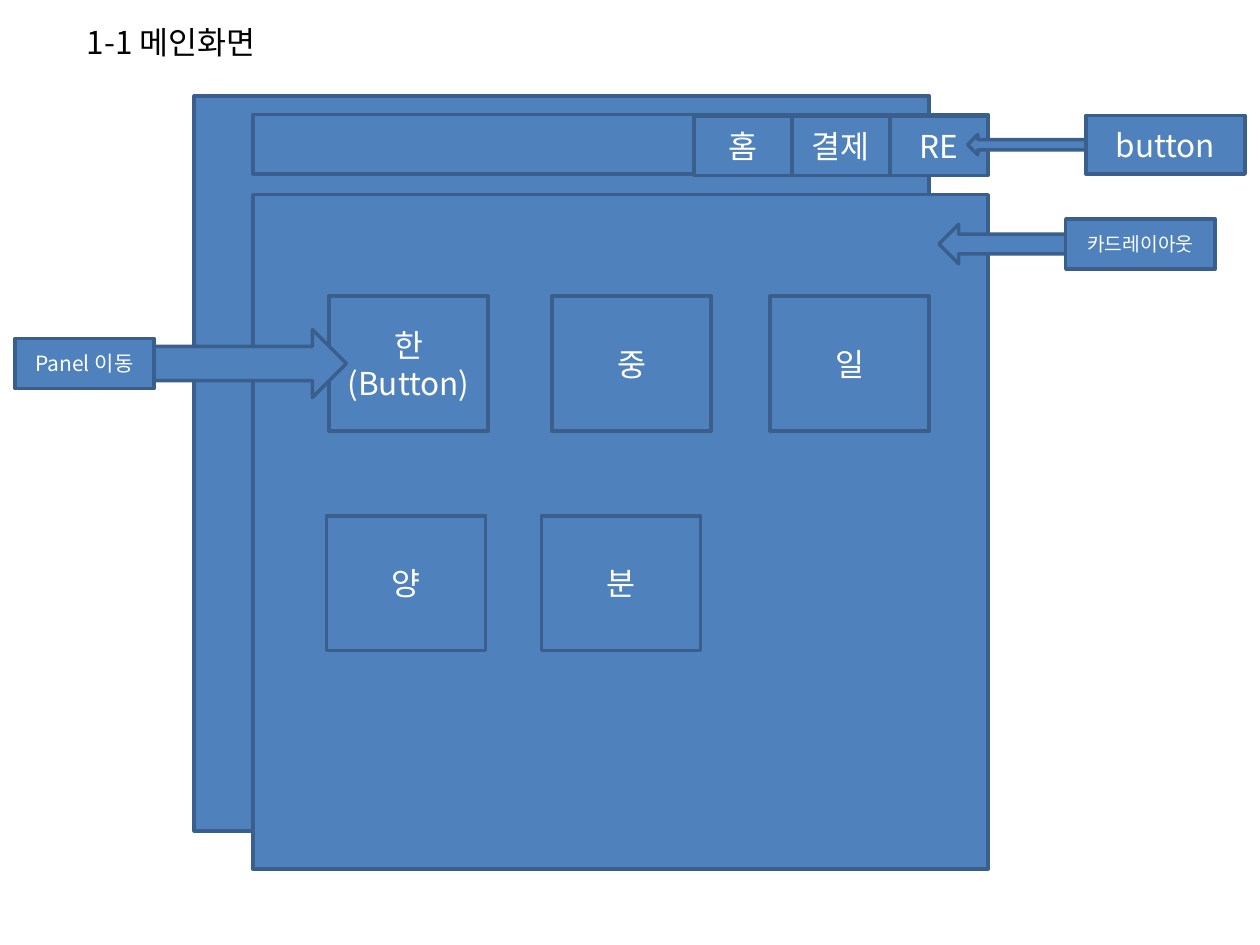
from pptx import Presentation
from pptx.util import Pt
from pptx.dml.color import RGBColor
from pptx.enum.shapes import MSO_SHAPE as SHAPE
from pptx.enum.text import MSO_ANCHOR as ANCHOR, PP_ALIGN as ALIGN, MSO_AUTO_SIZE as AUTO
from pptx.oxml.ns import qn
from lxml import etree

BLUE = RGBColor(0x4F, 0x81, 0xBD)
EDGE = RGBColor(0x3A, 0x5F, 0x8C)
WHITE = RGBColor(0xFF, 0xFF, 0xFF)
BLACK = RGBColor(0, 0, 0)
FONT = "Noto Sans CJK KR"


def format_text(p, size, color):
    for r in p.runs:
        r.font.size = Pt(size)
        r.font.name = FONT
        r.font.color.rgb = color
        etree.SubElement(r.font._element, qn("a:ea")).set("typeface", FONT)


def add_block(s, box, text="", size=18, kind=SHAPE.RECTANGLE):
    sp = s.shapes.add_shape(kind, *map(Pt, box))
    sp.shadow.inherit = False
    sp.fill.solid()
    sp.fill.fore_color.rgb = BLUE
    sp.line.color.rgb = EDGE
    sp.line.width = Pt(2)
    if text:
        tf = sp.text_frame
        tf.word_wrap = True
        tf.vertical_anchor = ANCHOR.MIDDLE
        p = tf.paragraphs[0]
        p.text = text
        p.alignment = ALIGN.CENTER
        format_text(p, size, WHITE)


def add_title(s, box, text):
    tf = s.shapes.add_textbox(*map(Pt, box)).text_frame
    tf.word_wrap = True
    tf.auto_size = AUTO.SHAPE_TO_FIT_TEXT
    tf.text = text
    format_text(tf.paragraphs[0], 18, BLACK)


def add_menu_bar(s, box, labels):
    """Bar with its buttons packed against the right edge."""
    x, y, w, h = box
    add_block(s, box)
    button_w = 56
    left = x + w - button_w * len(labels)
    for i, label in enumerate(labels):
        add_block(s, (left + i * button_w, y + 0.75, button_w, h), label)


def add_card_panel(s, box, rows):
    """Panel with rows of category buttons: (top, [(left, label), ...])."""
    x, y, w, h = box
    add_block(s, box)
    for top, buttons in rows:
        for left, label in buttons:
            add_block(s, (x + left, y + top, 91, 77), label)


def add_callout(s, box, text, size, kind, arrow):
    """Label over the tail of an arrow: (left offset, width, height)."""
    x, y, w, h = box
    dx, arrow_w, arrow_h = arrow
    add_block(s, (x + dx, y + (h - arrow_h) / 2, arrow_w, arrow_h), kind=kind)
    add_block(s, box, text, size)


prs = Presentation()
prs.slide_width, prs.slide_height = Pt(720), Pt(540)
s = prs.slides.add_slide(prs.slide_layouts[6])

# Main window
add_title(s, (42.5, 9.5, 181.5, 29), "1-1 메인화면")
add_block(s, (111, 54.75, 420, 420))
add_menu_bar(s, (144.5, 65.5, 420, 34), ["홈", "결제", "RE"])
add_card_panel(s, (144.5, 111.25, 420, 385.5), [
    (58, [(43.5, "한(Button)"), (171, "중"), (295.5, "일")]),
    (183.5, [(42, "양"), (165, "분")]),
])

# Explanatory callouts
add_callout(s, (8.5, 193.5, 79.5, 28.5), "Panel 이동", 12,
            SHAPE.RIGHT_ARROW, (51.5, 138, 39))
add_callout(s, (609, 125.25, 85.5, 28.5), "카드레이아웃", 11,
            SHAPE.LEFT_ARROW, (-72.5, 84, 22.5))
add_callout(s, (620.5, 66, 91, 33.5), "button", 18,
            SHAPE.LEFT_ARROW, (-67.5, 124.5, 11.5))

prs.save("out.pptx")
